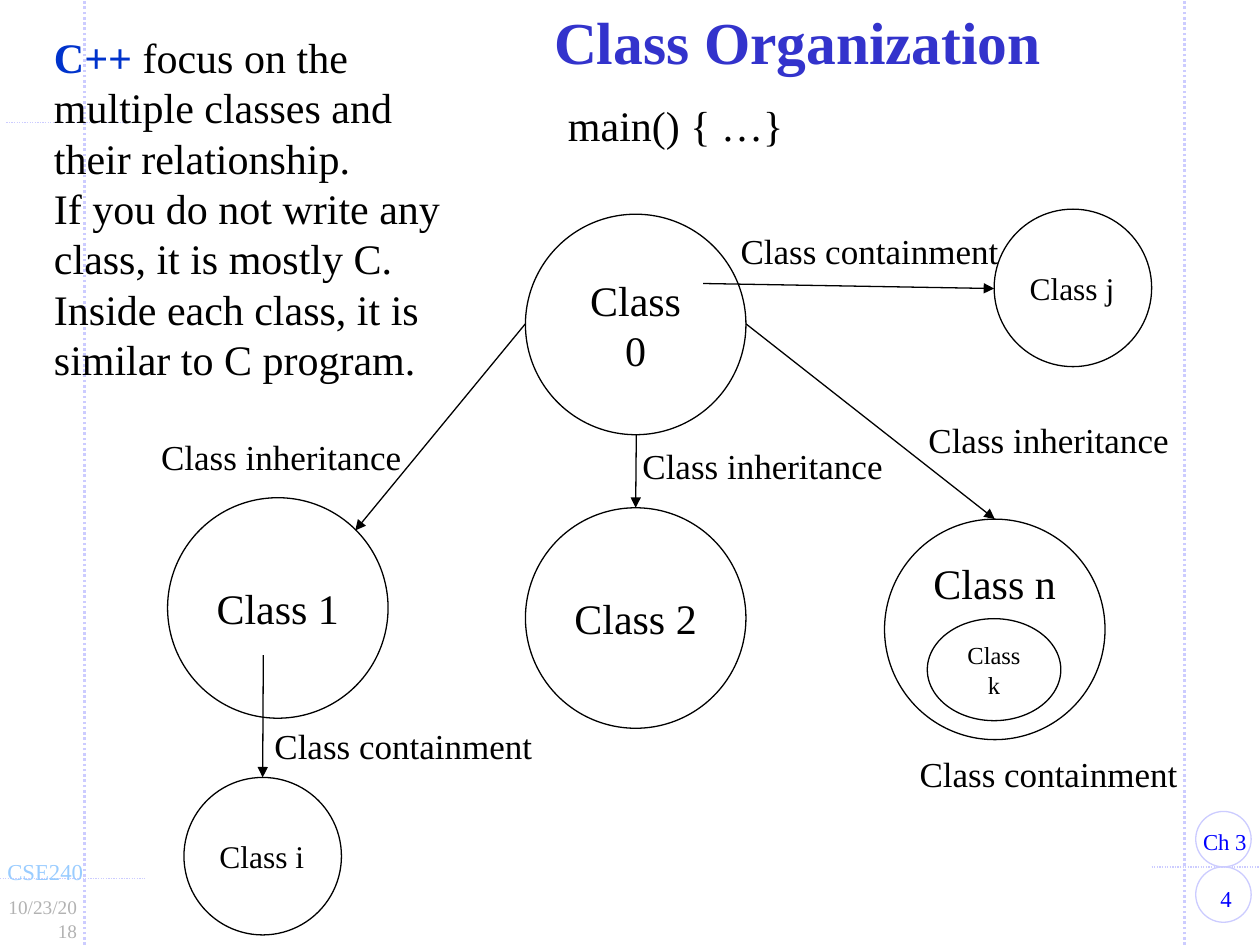
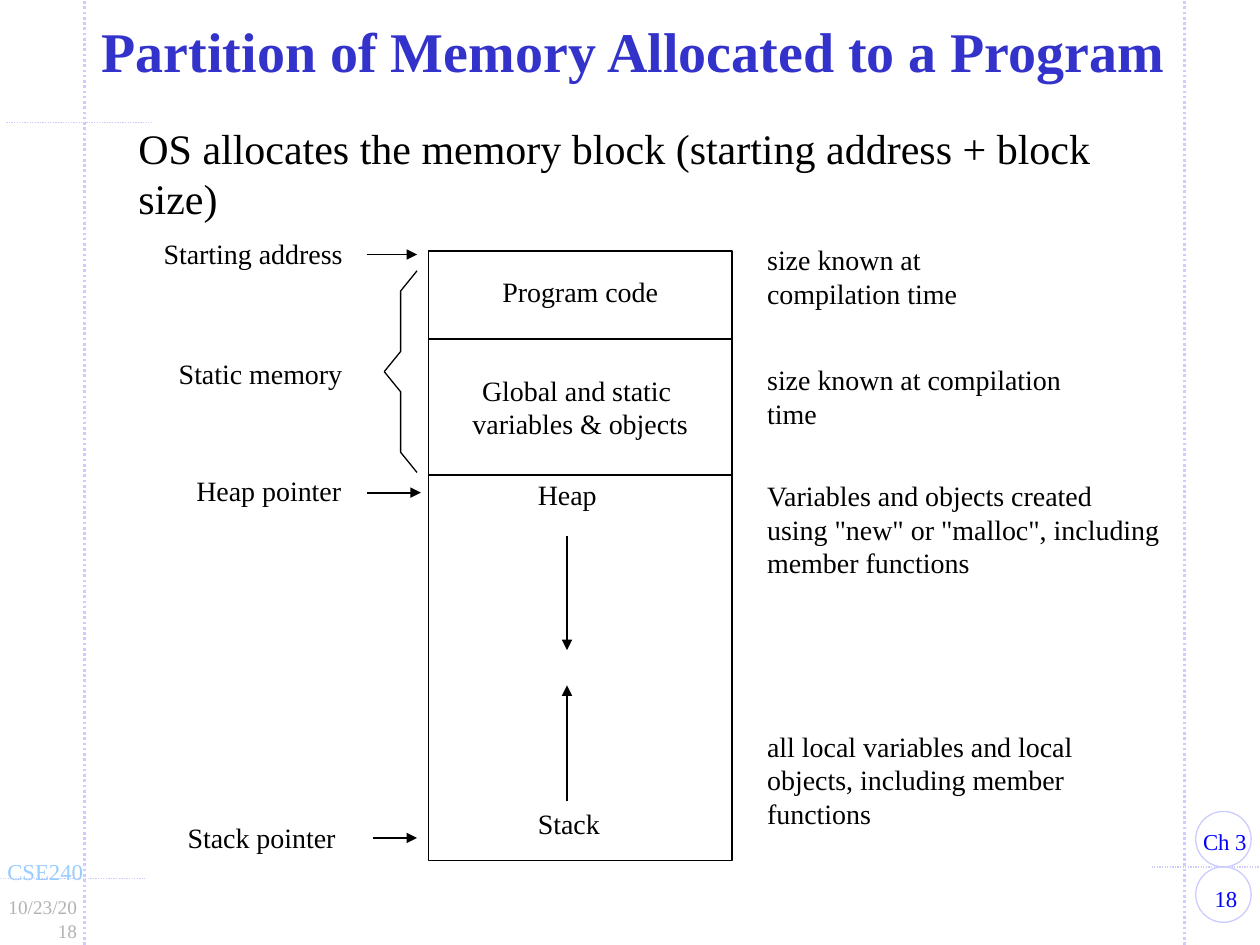
"""Build two slides on class organization and program memory."""
from dataclasses import dataclass, field
from typing import Any

from lxml.etree import SubElement
from pptx import Presentation
from pptx.dml.color import RGBColor
from pptx.enum.dml import MSO_LINE
from pptx.enum.shapes import MSO_CONNECTOR, MSO_SHAPE
from pptx.enum.text import MSO_ANCHOR, PP_ALIGN
from pptx.oxml.ns import qn
from pptx.util import Pt

PX = 9144
PAGE_WIDTH, PAGE_HEIGHT = 1000, 750
Point = tuple[int, int]
Area = tuple[int, int, int, int]


@dataclass(frozen=True)
class Theme:
    """Colours, font, type sizes and line weights of the deck."""
    font: str = "Times New Roman"
    ink: str = "000000"
    paper: str = "FFFFFF"
    title: str = "3333CC"
    lead: str = "0033CC"
    rule: str = "CCCCFF"
    number: str = "0000FF"
    course: str = "99CCFF"
    date: str = "B2B2B2"
    body_size: int = 24
    relation_size: int = 20
    part_size: int = 18
    memory_size: int = 16
    inner_size: int = 14
    footer_size: int = 13
    date_size: int = 11
    thin: float = 0.75
    medium: float = 1
    thick: float = 1.5


THEME = Theme()


@dataclass(frozen=True)
class Words:
    """Text with its format; each entry is one paragraph."""
    paragraphs: tuple[str, ...]
    size: int
    colour: str = THEME.ink
    align: PP_ALIGN = PP_ALIGN.LEFT
    anchor: MSO_ANCHOR = MSO_ANCHOR.TOP
    wrap: bool = True
    bold: bool = False
    spacing: float = 1.0
    lead: str = ""


@dataclass(frozen=True)
class Label:
    """A text box at a place."""
    area: Area
    words: Words


@dataclass(frozen=True)
class Figure:
    """A preset shape, with or without words and fill."""
    kind: MSO_SHAPE
    area: Area
    words: Words | None = None
    fill: str | None = THEME.paper
    line: str = THEME.ink
    weight: float = THEME.thin


@dataclass(frozen=True)
class Stroke:
    """A straight line, an arrow unless told otherwise."""
    start: Point
    end: Point
    weight: float = THEME.thin
    colour: str = THEME.ink
    arrow: bool = True
    top_of: str = ""


@dataclass(frozen=True)
class Drawing:
    """Everything on one slide besides the shared frame."""
    number: str
    title: Label
    figures: dict[str, Figure]
    strokes: tuple[Stroke, ...]
    labels: tuple[Label, ...]
    outline: tuple[Point, ...] = field(default=())


def apply(target: Any, values: dict[str, Any]) -> None:
    """Set each named attribute on the target."""
    for name, value in values.items():
        setattr(target, name, value)


def emu(lengths: tuple[int, ...]) -> list[int]:
    """Turn pixel lengths into EMU."""
    return [length * PX for length in lengths]


def add_span(para: Any, text: str, words: Words, colour: str, bold: bool) -> None:
    """Add one formatted run."""
    span = para.add_run()
    span.text = text
    apply(span.font, {"name": THEME.font, "size": Pt(words.size), "bold": bold})
    span.font.color.rgb = RGBColor.from_string(colour)


def write(box: Any, words: Words) -> None:
    """Fill a shape with formatted paragraphs."""
    frame = box.text_frame
    apply(frame, {"word_wrap": words.wrap, "vertical_anchor": words.anchor})
    for index, text in enumerate(words.paragraphs):
        para = frame.add_paragraph() if index else frame.paragraphs[0]
        apply(para, {"alignment": words.align, "line_spacing": words.spacing})
        if words.lead and index == 0:
            add_span(para, words.lead, words, THEME.lead, True)
        for row, line in enumerate(text.split("\n")):
            if row:
                para.add_line_break()
            add_span(para, line, words, words.colour, words.bold)


def draw_label(page: Any, label: Label) -> None:
    """Draw a text box."""
    write(page.shapes.add_textbox(*emu(label.area)), label.words)


def style_line(line: Any, colour: str, weight: float) -> None:
    """Set the colour and weight of a line."""
    line.color.rgb = RGBColor.from_string(colour)
    line.width = Pt(weight)


def draw_figure(page: Any, figure: Figure) -> Any:
    """Draw a preset shape."""
    shape = page.shapes.add_shape(figure.kind, *emu(figure.area))
    shape.shadow.inherit = False
    if figure.fill:
        shape.fill.solid()
        shape.fill.fore_color.rgb = RGBColor.from_string(figure.fill)
    else:
        shape.fill.background()
    style_line(shape.line, figure.line, figure.weight)
    if figure.words:
        write(shape, figure.words)
    return shape


def draw_stroke(page: Any, stroke: Stroke, shapes: dict[str, Any]) -> None:
    """Draw a solid arrow or a dotted rule."""
    line = page.shapes.add_connector(MSO_CONNECTOR.STRAIGHT, *emu(stroke.start + stroke.end))
    style_line(line.line, stroke.colour, stroke.weight)
    if stroke.arrow:
        SubElement(line.line._get_or_add_ln(), qn("a:tailEnd"), type="triangle")
    else:
        line.line.dash_style = MSO_LINE.ROUND_DOT
    if stroke.top_of:
        line.end_connect(shapes[stroke.top_of], 0)
    SubElement(line._element.spPr, qn("a:effectLst"))


def draw_outline(page: Any, points: tuple[Point, ...]) -> None:
    """Draw an open, unfilled outline."""
    builder = page.shapes.build_freeform(*points[0], scale=float(PX))
    builder.add_line_segments(points[1:], close=False)
    shape = builder.convert_to_shape()
    shape.shadow.inherit = False
    shape.fill.background()
    style_line(shape.line, THEME.ink, THEME.thin)


def draw_frame(page: Any, number: str) -> None:
    """Draw the rules, page badges and footer shared by the slides."""
    rules = [((x, PAGE_HEIGHT), (x, 0), THEME.thick) for x in (67, 940)]
    rules += [((left, y), (right, y), THEME.thin)
              for left, right, y in ((0, 115, 697), (914, 1005, 688), (5, 120, 97))]
    for start, end, weight in rules:
        draw_stroke(page, Stroke(start, end, weight, THEME.rule, arrow=False), {})
    for top in (644, 688):
        draw_figure(page, Figure(MSO_SHAPE.OVAL, (949, top, 44, 44), fill=None, line=THEME.rule))
    size = THEME.footer_size
    for area, words in (
        ((944, 697, 58, 32), Words((number,), size, THEME.number, PP_ALIGN.CENTER)),
        ((945, 652, 55, 32), Words(("Ch 3",), size, THEME.number, wrap=False)),
        ((-4, 676, 80, 32), Words(("CSE240",), size, THEME.course, wrap=False)),
        ((-10, 706, 81, 29), Words(("10/23/2018",), THEME.date_size, THEME.date, PP_ALIGN.RIGHT)),
    ):
        draw_label(page, Label(area, words))


def title(text: str, area: Area, size: int) -> Label:
    """Describe a slide title."""
    return Label(area, Words((text,), size, THEME.title, PP_ALIGN.CENTER,
                             MSO_ANCHOR.MIDDLE, bold=True, spacing=0.85))


def class_circle(left: int, top: int, width: int, height: int, size: int, *names: str,
                 align: PP_ALIGN = PP_ALIGN.CENTER,
                 anchor: MSO_ANCHOR = MSO_ANCHOR.MIDDLE) -> Figure:
    """Describe a named class circle."""
    return Figure(MSO_SHAPE.OVAL, (left, top, width, height),
                  Words(names, size, align=align, anchor=anchor))


def class_organization() -> Drawing:
    """Describe the class diagram."""
    large, small = (175, 175, THEME.body_size), (125, 125, THEME.part_size)
    circles = {
        "0": class_circle(417, 170, *large, "Class", "0"),
        "1": class_circle(133, 395, *large, "Class 1"),
        "2": class_circle(417, 403, *large, "Class 2"),
        "n": class_circle(702, 412, *large, "Class n", anchor=MSO_ANCHOR.TOP),
        "j": class_circle(789, 166, *small, "Class j", align=PP_ALIGN.LEFT),
        "i": class_circle(146, 617, *small, "Class i", align=PP_ALIGN.LEFT),
        "k": class_circle(736, 491, 106, 81, THEME.inner_size, "Class k"),
    }
    arrows = (
        Stroke((417, 257), (282, 421)),
        Stroke((505, 345), (505, 403), top_of="2"),
        Stroke((592, 257), (789, 412), top_of="n"),
        Stroke((558, 225), (789, 229)),
        Stroke((209, 520), (209, 617), top_of="i"),
    )
    relations = {
        ("Class containment", 226): ((578, 177), (720, 592), (208, 570)),
        ("Class inheritance", 212): ((118, 341), (500, 348), (727, 327)),
    }
    labels = [Label((*place, width, 44), Words((text,), THEME.relation_size, wrap=False))
              for (text, width), places in relations.items() for place in places]
    labels.append(Label((441, 74, 193, 50), Words(("main() { …}",), THEME.body_size, wrap=False)))
    labels.append(Label((33, 20, 342, 293), Words((
        "focus on the multiple classes and their relationship.",
        "If you do not write any class, it is mostly C.",
        "Inside each class, it is similar to C program.",
    ), THEME.body_size, lead="C++ ")))
    return Drawing("4", title("Class Organization", (341, 2, 584, 70), 34),
                   circles, arrows, tuple(labels))


def memory_partition() -> Drawing:
    """Describe the memory layout."""
    blocks, top = {}, 199
    for text, height, spacing in (("Program code", 70, 0.8),
                                  ("Global and static \nvariables & objects", 108, 1.0),
                                  ("", 306, 1.0)):
        words = Words((text,), THEME.memory_size, align=PP_ALIGN.CENTER,
                      anchor=MSO_ANCHOR.MIDDLE, wrap=False, spacing=spacing) if text else None
        blocks[text] = Figure(MSO_SHAPE.RECTANGLE, (340, top, 241, height), words,
                              weight=THEME.medium)
        top += height
    arrows = (
        Stroke((291, 202), (331, 202)),
        Stroke((291, 391), (334, 391), THEME.medium),
        Stroke((296, 665), (331, 665), THEME.medium),
        Stroke((450, 425), (450, 516), THEME.medium),
        Stroke((450, 636), (450, 544), THEME.medium),
    )
    pointers = (("Starting address", 120, 183, 163), ("Static memory", 132, 278, 151),
                ("Heap pointer", 146, 371, 136), ("Stack pointer", 139, 646, 186),
                ("Heap", 417, 374, 67), ("Stack", 417, 635, 70))
    notes = (("size known at compilation time", 188, 238, 63),
             ("size known at compilation time", 283, 278, 64),
             ('Variables and objects created\nusing "new" or "malloc", including member functions',
              375, 385, 90),
             ("all local variables and local objects, including member functions", 574, 305, 90))
    labels = [Label((left, y, width, 37), Words((text,), THEME.memory_size, wrap=False))
              for text, left, y, width in pointers]
    labels += [Label((599, y, width, height), Words((text,), THEME.memory_size))
               for text, y, width, height in notes]
    labels.append(Label((100, 92, 846, 50), Words(
        ("OS allocates the memory block (starting address + block size)",), THEME.body_size)))
    tip, middle = 305, 295
    half = ((331, 80), (318, 64), (318, 16))
    brace = (*((x, middle - rise) for x, rise in half), (tip, middle),
             *((x, middle + rise) for x, rise in reversed(half)))
    return Drawing("18", title("Partition of Memory Allocated to a Program", (62, 9, 882, 70), 32),
                   blocks, arrows, tuple(labels), brace)


def draw_slide(deck: Any, drawing: Drawing) -> None:
    """Add a slide and draw its parts from back to front."""
    page = deck.slides.add_slide(deck.slide_layouts[6])
    draw_frame(page, drawing.number)
    shapes = {name: draw_figure(page, figure) for name, figure in drawing.figures.items()}
    for stroke in drawing.strokes:
        draw_stroke(page, stroke, shapes)
    if drawing.outline:
        draw_outline(page, drawing.outline)
    for label in (*drawing.labels, drawing.title):
        draw_label(page, label)


def main() -> None:
    """Build and save the deck."""
    deck = Presentation()
    apply(deck, {"slide_width": PAGE_WIDTH * PX, "slide_height": PAGE_HEIGHT * PX})
    for drawing in (class_organization(), memory_partition()):
        draw_slide(deck, drawing)
    deck.save("out.pptx")


if __name__ == "__main__":
    main()
